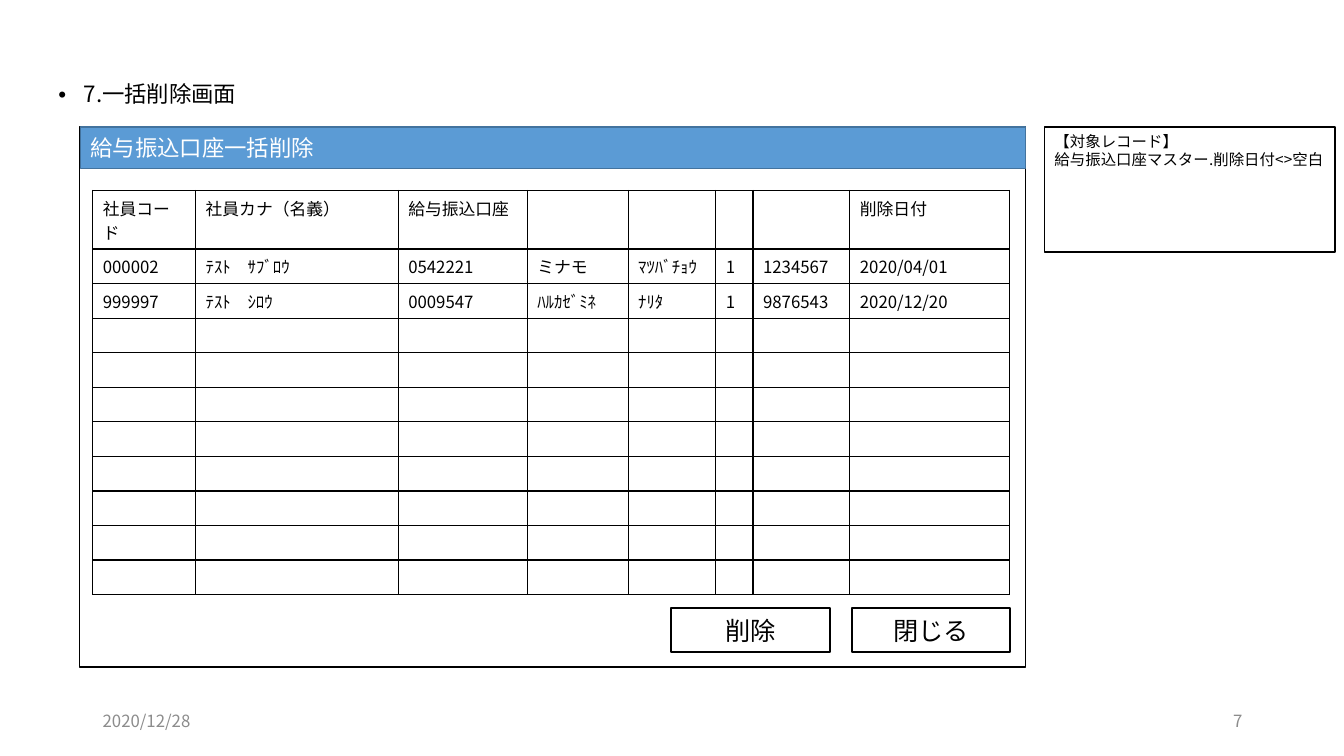
from dataclasses import dataclass
from typing import Optional

from lxml import etree
from pptx import Presentation
from pptx import util as u
from pptx.dml.color import RGBColor
from pptx.enum import shapes, text
from pptx.oxml.ns import qn


@dataclass(frozen=True)
class Theme:
    font: str = "Noto Sans CJK JP"
    black: str = "000000"
    white: str = "FFFFFF"
    gray: str = "8C8C8C"
    bar: str = "5B9BD5"
    bar_line: str = "43739E"
    heading: float = 16
    button: float = 18
    small: float = 12
    note: float = 11


THEME = Theme()
LEFT, CENTER, RIGHT = text.PP_ALIGN.LEFT, text.PP_ALIGN.CENTER, text.PP_ALIGN.RIGHT


@dataclass(frozen=True)
class Panel:
    place: tuple[float, float, float, float]
    lines: tuple[str, ...] = ()
    size: float = THEME.small
    color: str = THEME.black
    fill: Optional[str] = None
    line: Optional[str] = THEME.black
    weight: float = 1
    align: text.PP_ALIGN = LEFT
    anchor: text.MSO_ANCHOR = text.MSO_ANCHOR.MIDDLE


FRAME = Panel((0.79, 1.26, 9.38, 5.36))
TITLE_BAR = Panel((0.8, 1.26, 9.37, 0.41), ("給与振込口座一括削除",), THEME.heading,
                  THEME.white, THEME.bar, THEME.bar_line)
NOTE = Panel((10.36, 1.26, 2.88, 1.24),
             ("【対象レコード】", "給与振込口座マスター.削除日付<>空白"),
             THEME.note, anchor=text.MSO_ANCHOR.TOP)
BUTTONS = [
    Panel((left, 6.03, 1.57, 0.44), (label,), THEME.button, weight=1.5, align=CENTER)
    for left, label in ((6.66, "削除"), (8.45, "閉じる"))
]
FOOTERS = [
    Panel((left, 6.95, 3, 0.4), (label,), THEME.small, THEME.gray, line=None, align=align)
    for left, label, align in ((0.92, "2020/12/28", LEFT), (9.42, "7", RIGHT))
]

COLUMNS = (1.02, 2.01, 1.28, 1, 0.87, 0.37, 0.96, 1.58)
TABLE_HEIGHT, HEADER_HEIGHT, ROW_COUNT = 4.01, 0.58, 11
ROW_HEIGHT = (TABLE_HEIGHT - HEADER_HEIGHT) / (ROW_COUNT - 1)
RECORDS = (
    ("社員コード", "社員カナ（名義）", "給与振込口座", "", "", "", "", "削除日付"),
    ("000002", "ﾃｽﾄ　ｻﾌﾞﾛｳ", "0542221", "ミナモ", "ﾏﾂﾊﾞﾁｮｳ", "1", "1234567", "2020/04/01"),
    ("999997", "ﾃｽﾄ　ｼﾛｳ", "0009547", "ﾊﾙｶｾﾞﾐﾈ", "ﾅﾘﾀ", "1", "9876543", "2020/12/20"),
)


def inches(place: tuple[float, ...]) -> list[u.Length]:
    return [u.Inches(value) for value in place]


def write(para, words: str, *, size: float, color: str = THEME.black,
          align: text.PP_ALIGN = LEFT) -> None:
    para.alignment = align
    if not words:
        etree.SubElement(para._p, qn("a:endParaRPr"), sz=str(int(size * 100)))
        return
    span = para.add_run()
    span.text = words
    span.font.name = THEME.font
    span.font.size = u.Pt(size)
    span.font.color.rgb = RGBColor.from_string(color)
    etree.SubElement(span.font._element, qn("a:ea"), typeface=THEME.font)


def draw_panel(page, panel: Panel) -> None:
    if panel.line:
        box = page.shapes.add_shape(shapes.MSO_SHAPE.RECTANGLE, *inches(panel.place))
        box.shadow.inherit = False
        box.line.color.rgb = RGBColor.from_string(panel.line)
        box.line.width = u.Pt(panel.weight)
        if panel.fill:
            box.fill.solid()
            box.fill.fore_color.rgb = RGBColor.from_string(panel.fill)
        else:
            box.fill.background()
    else:
        box = page.shapes.add_textbox(*inches(panel.place))
    frame = box.text_frame
    frame.word_wrap = True
    frame.vertical_anchor = panel.anchor
    for index, words in enumerate(panel.lines):
        para = frame.add_paragraph() if index else frame.paragraphs[0]
        write(para, words, size=panel.size, color=panel.color, align=panel.align)


def draw_heading(page) -> None:
    title = page.shapes.title
    title._element.getparent().remove(title._element)
    body = page.placeholders[1]
    body.left, body.top, body.width, body.height = inches((0.48, 0.78, 12.36, 6.09))
    body.text_frame.auto_size = text.MSO_AUTO_SIZE.NONE
    para = body.text_frame.paragraphs[0]
    write(para, "7.一括削除画面", size=THEME.heading)
    para.line_spacing = 0.9
    para.space_before = u.Pt(10)
    properties = para._p.get_or_add_pPr()
    properties.set("marL", str(u.Inches(0.25)))
    properties.set("indent", str(u.Inches(-0.25)))
    etree.SubElement(properties, qn("a:buFont"), typeface="Arial")
    etree.SubElement(properties, qn("a:buChar"), char="•")


def add_borders(cell) -> None:
    properties = cell._tc.get_or_add_tcPr()
    for index, side in enumerate(("a:lnL", "a:lnR", "a:lnT", "a:lnB")):
        border = etree.Element(qn(side), w=str(u.Pt(1)))
        fill = etree.SubElement(border, qn("a:solidFill"))
        etree.SubElement(fill, qn("a:srgbClr"), val=THEME.black)
        properties.insert(index, border)


def draw_records(page) -> None:
    heights = [HEADER_HEIGHT] + [ROW_HEIGHT] * (ROW_COUNT - 1)
    place = inches((0.92, 1.89, sum(COLUMNS), TABLE_HEIGHT))
    table = page.shapes.add_table(ROW_COUNT, len(COLUMNS), *place).table
    table.first_row = table.horz_banding = False
    for column, width in zip(table.columns, COLUMNS):
        column.width = u.Inches(width)
    blanks = (("",) * len(COLUMNS),) * (ROW_COUNT - len(RECORDS))
    for row, height, record in zip(table.rows, heights, RECORDS + blanks):
        row.height = u.Inches(height)
        for cell, words in zip(row.cells, record):
            cell.fill.background()
            add_borders(cell)
            write(cell.text_frame.paragraphs[0], words, size=THEME.small)


def main() -> None:
    deck = Presentation()
    deck.slide_width, deck.slide_height = u.Inches(13.33), u.Inches(7.5)
    page = deck.slides.add_slide(deck.slide_layouts[1])
    draw_heading(page)
    for panel in (FRAME, TITLE_BAR, *FOOTERS):
        draw_panel(page, panel)
    draw_records(page)
    for panel in (NOTE, *BUTTONS):
        draw_panel(page, panel)
    deck.save("out.pptx")


if __name__ == "__main__":
    main()
